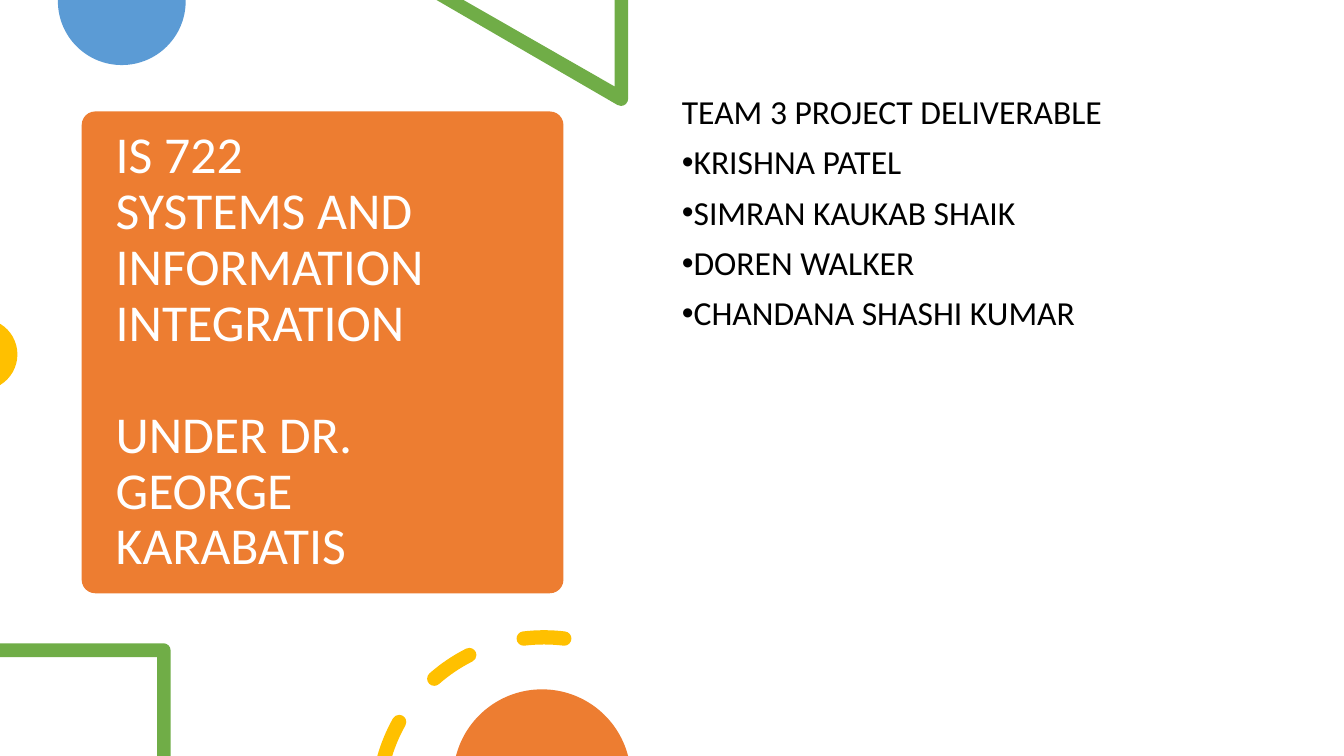
"""Build the opening slide of a team project deck."""
import itertools
import math
from dataclasses import dataclass

import lxml.etree
import pptx
import pptx.dml.color
import pptx.enum.shapes
import pptx.enum.text
import pptx.oxml.ns
import pptx.util

Cm = pptx.util.Cm
Pt = pptx.util.Pt
qn = pptx.oxml.ns.qn


@dataclass(frozen=True)
class Theme:
    font: str = "Calibri"
    title_size: int = 37
    body_size: int = 24
    line_spacing: float = 0.9
    white: str = "FFFFFF"
    black: str = "000000"
    orange: str = "ED7D31"
    blue: str = "5B9BD5"
    green: str = "70AD47"
    gold: str = "FFC000"


def corners(*points):
    return [[point] for point in points]


def arc(center, radius, start, end):
    def place(angle, pull=0):
        cosine, sine = math.cos(math.radians(angle)), math.sin(math.radians(angle))
        return (center[0] + radius * (cosine - pull * sine),
                center[1] - radius * (sine + pull * cosine))

    quarters = [a for a in range(-360, 721, 90) if min(start, end) < a < max(start, end)]
    stops = sorted([start, *quarters, end], reverse=start > end)
    steps = [[place(start)]]
    for first, last in itertools.pairwise(stops):
        pull = 4 / 3 * math.tan(math.radians(last - first) / 4)
        steps.append([place(first, pull), place(last, -pull), place(last)])
    return steps


def dash(center, radius, half, start, end):
    first, last = (arc(center, radius, angle, angle)[0][0] for angle in (start, end))
    return (arc(center, radius + half, start, end)
            + arc(last, half, end, end + 180)[1:]
            + arc(center, radius - half, end, start)[1:]
            + arc(first, half, start + 180, start + 360)[1:])


def cut_dash(center, radius, half, start, outer_end, inner_end):
    first = arc(center, radius, start, start)[0][0]
    return (arc(center, radius + half, start, outer_end)
            + arc(center, radius - half, inner_end, start)
            + arc(first, half, start + 180, start + 360)[1:])


class SlideBuilder:
    def __init__(self, theme):
        self.theme = theme
        self.deck = pptx.Presentation()
        self.deck.slide_width = Cm(33.87)
        self.deck.slide_height = Cm(19.05)
        self.slide = self.deck.slides.add_slide(self.deck.slide_layouts[0])

    def paint(self, shape, color):
        shape.shadow.inherit = False
        shape.fill.solid()
        shape.fill.fore_color.rgb = pptx.dml.color.RGBColor.from_string(color)
        shape.line.fill.background()

    def panel(self, left, top, size, color):
        kind = pptx.enum.shapes.MSO_SHAPE.ROUNDED_RECTANGLE
        box = self.slide.shapes.add_shape(kind, Cm(left), Cm(top), Cm(size), Cm(size))
        box.adjustments[0] = 0.028
        self.paint(box, color)
        tree = self.slide.shapes.element
        tree.remove(box.element)
        tree.insert(2, box.element)

    def outline(self, color, *contours):
        builder = None
        for contour in contours:
            points = [(Cm(x), Cm(y)) for step in contour for x, y in step]
            if builder is None:
                builder = self.slide.shapes.build_freeform(*points[0])
            else:
                builder.move_to(*points[0])
            builder.add_line_segments(points[1:], close=True)
        shape = builder.convert_to_shape()
        self.paint(shape, color)
        self.bend(next(shape.element.iter(qn("a:path"))), contours)

    def bend(self, geometry, contours):
        nodes = iter(list(geometry))
        for contour in contours:
            for step in contour:
                curve, *rest = itertools.islice(nodes, len(step))
                if rest:
                    curve.tag = qn("a:cubicBezTo")
                for node in rest:
                    curve.append(node[0])
                    geometry.remove(node)
            next(nodes)

    def text(self, index, bounds, content, size, color, anchor):
        box = self.slide.placeholders[index]
        box.left, box.top, box.width, box.height = map(Cm, bounds)
        frame = box.text_frame
        frame.text = content
        frame.word_wrap = True
        frame.auto_size = pptx.enum.text.MSO_AUTO_SIZE.NONE
        frame.vertical_anchor = anchor
        for para in frame.paragraphs:
            para.alignment = pptx.enum.text.PP_ALIGN.LEFT
            para.line_spacing = self.theme.line_spacing
            para.font.size = Pt(size)
            for span in para.runs:
                span.font.name = self.theme.font
                span.font.size = Pt(size)
                span.font.color.rgb = pptx.dml.color.RGBColor.from_string(color)
        return frame.paragraphs

    def title(self, bounds, content):
        self.text(0, bounds, content, self.theme.title_size, self.theme.white,
                  pptx.enum.text.MSO_ANCHOR.MIDDLE)

    def body(self, bounds, heading, items):
        paras = self.text(1, bounds, "\n".join([heading, *items]), self.theme.body_size,
                          self.theme.black, pptx.enum.text.MSO_ANCHOR.TOP)
        for para in paras:
            para.space_before = Pt(10)
        for para in paras[1:]:
            properties = para._p.get_or_add_pPr()
            properties.set("marL", "0")
            properties.set("indent", str(-Pt(18)))
            bullet = lxml.etree.Element(qn("a:buChar"), char="•")
            typeface = lxml.etree.Element(qn("a:buFont"), typeface="Arial")
            properties.find(qn("a:spcBef")).addnext(typeface)
            typeface.addnext(bullet)


def main():
    theme = Theme()
    page = SlideBuilder(theme)
    page.panel(2.06, 2.81, 12.14, theme.orange)
    page.title((2.66, 3.09, 10.95, 11.58),
               "IS 722 \vSYSTEMS AND INFORMATION INTEGRATION\v\vUNDER DR. GEORGE KARABATIS")

    page.outline(theme.blue, corners((4.68, 0), (1.46, 0)) + arc((3.07, 0.03), 1.61, 180, 360))
    triangle = corners((15.83, 0), (15.49, 0), (15.49, 2.18), (11.68, 0), (11, 0))
    page.outline(theme.green, triangle + arc((15.65, 2.49), 0.18, -120, 0))
    page.outline(theme.gold, arc((-0.46, 8.93), 0.9, -59, 59))

    page.body((16.93, 2.28, 14.6, 13.59), "TEAM 3 PROJECT DELIVERABLE",
              ["KRISHNA PATEL", "SIMRAN KAUKAB SHAIK", "DOREN WALKER", "CHANDANA SHASHI KUMAR"])

    square = corners((4.3, 19.05), (3.96, 19.05), (3.96, 16.56), (0, 16.56), (0, 16.21))
    page.outline(theme.green, square + arc((4.12, 16.39), 0.18, 90, 0))
    ring = (13.71, 20.25), 4.19, 0.18
    page.outline(theme.gold, cut_dash(*ring, 150.6, 164.1, 162.6),
                 dash(*ring, 116.7, 131.3), dash(*ring, 83, 97))
    page.outline(theme.orange, arc((13.66, 19.61), 2.24, 14.5, 165.5))

    page.deck.save("out.pptx")


if __name__ == "__main__":
    main()
